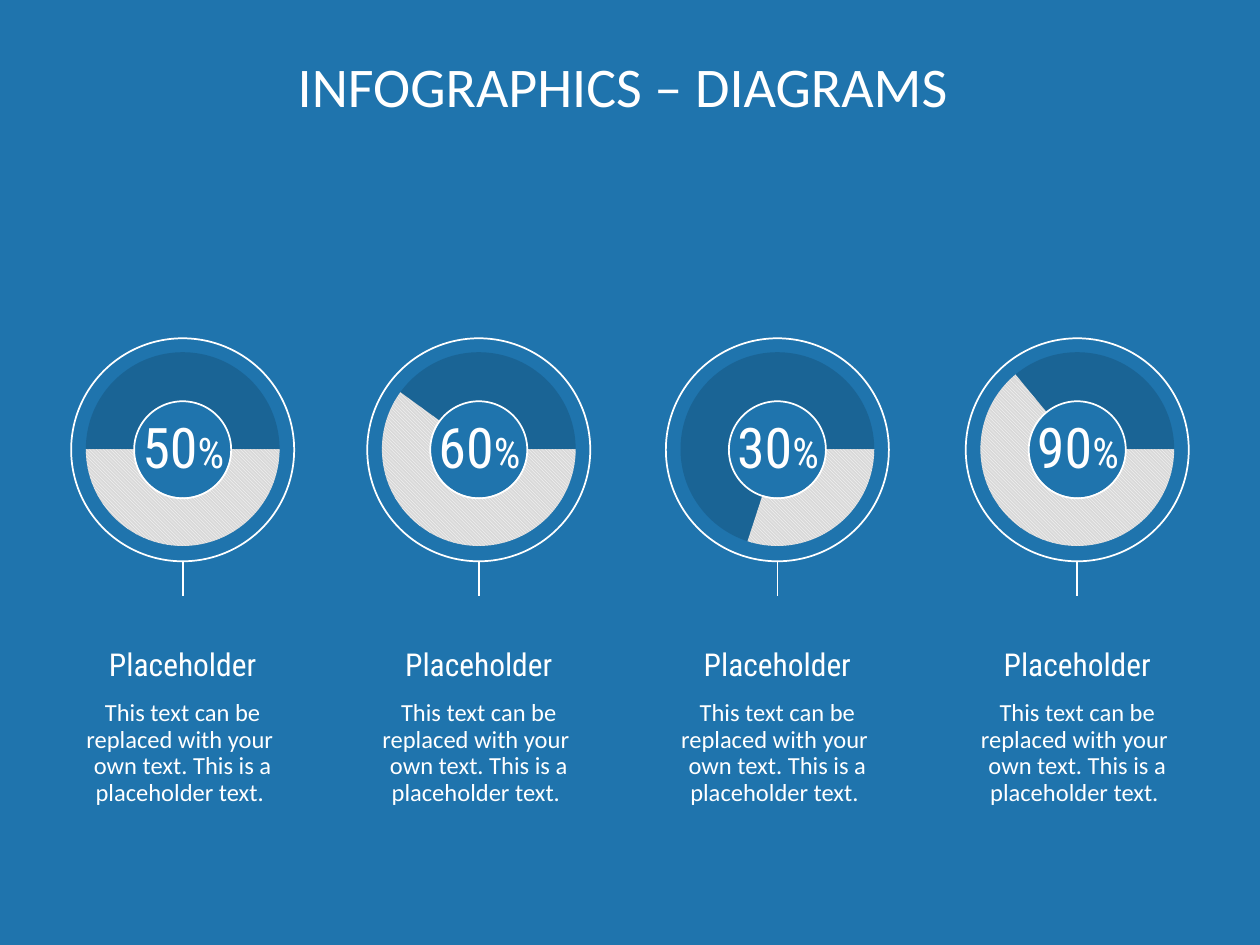
from dataclasses import dataclass

from lxml import etree
from pptx import Presentation
from pptx.chart.data import CategoryChartData
from pptx.dml.color import RGBColor as RGB
from pptx.enum.chart import XL_CHART_TYPE as ChartType
from pptx.enum.dml import MSO_PATTERN as Pattern
from pptx.enum.shapes import MSO_CONNECTOR as Connector, MSO_SHAPE as Shape
from pptx.enum.text import MSO_ANCHOR as Anchor, MSO_AUTO_SIZE as AutoSize, PP_ALIGN as Align
from pptx.oxml.ns import qn
from pptx.util import Inches, Pt


@dataclass(frozen=True)
class Theme:
    background: RGB = RGB(0x1F, 0x74, 0xAD)
    white: RGB = RGB(0xFF, 0xFF, 0xFF)
    stripe: RGB = RGB(0xD9, 0xD9, 0xD9)
    rest: RGB = RGB(0x14, 0x4D, 0x73)
    body_font: str = "Calibri"
    display_font: str = "Roboto Condensed"
    large: int = 32
    percent: int = 24
    heading: int = 18
    body: int = 14


theme = Theme()


def prepare_frame(frame, anchor):
    frame.word_wrap = True
    frame.auto_size = AutoSize.NONE
    frame.vertical_anchor = anchor
    frame.margin_left = frame.margin_right = frame.margin_top = frame.margin_bottom = 0


def add_run(paragraph, text, size, font):
    paragraph.alignment = Align.CENTER
    paragraph.line_spacing = 0.9
    run = paragraph.add_run()
    run.text = text
    run.font.size = Pt(size)
    run.font.name = font
    run.font.color.rgb = theme.white


deck = Presentation()
deck.slide_width, deck.slide_height = Inches(10), Inches(7.5)
slide = deck.slides.add_slide(deck.slide_layouts[5])
slide.background.fill.solid()
slide.background.fill.fore_color.rgb = theme.background
shapes = slide.shapes

# Title
title = shapes.title
title.left, title.top, title.width, title.height = map(Inches, (0.43, 0.47, 9.13, 1.18))
prepare_frame(title.text_frame, Anchor.TOP)
add_run(title.text_frame.paragraphs[0], "INFOGRAPHICS – DIAGRAMS ", theme.large, theme.body_font)

# Dial centre, shown percentage, filled share of the ring
dials = [(1.45, "50", 50), (3.8, "60", 60), (6.17, "30", 30), (8.55, "90", 64)]
middle = 3.57
plot_area = {"x": 0.153, "y": 0.075, "w": 0.694, "h": 0.85}

for center, percentage, share in dials:
    # Caption
    caption = shapes.add_textbox(Inches(center - 0.9), Inches(5.15), Inches(1.8), Inches(1.35)).text_frame
    prepare_frame(caption, Anchor.TOP)
    heading = caption.paragraphs[0]
    heading.space_after = Pt(10)
    add_run(heading, "Placeholder", theme.heading, theme.display_font)
    description = caption.add_paragraph()
    description.space_after = Pt(10)
    add_run(description, "This text can be replaced with your ", theme.body, theme.body_font)
    description.add_line_break()
    add_run(description, "own text. This is a placeholder text. ", theme.body, theme.body_font)

    # Ring chart
    ring_data = CategoryChartData()
    ring_data.categories = ["Filled", "Rest"]
    ring_data.add_series("Series 1", (share, 100 - share))
    ring = shapes.add_chart(ChartType.DOUGHNUT, Inches(center - 1.11), Inches(middle - 0.91),
                            Inches(2.22), Inches(1.81), ring_data).chart
    ring.has_legend = ring.has_title = False
    ring.font.size = Pt(theme.heading)
    ring.font.name = theme.body_font
    points = ring.plots[0].series[0].points
    filled, rest = points[0].format, points[1].format
    filled.fill.patterned()
    filled.fill.pattern = Pattern.LIGHT_DOWNWARD_DIAGONAL
    filled.fill.fore_color.rgb = theme.white
    filled.fill.back_color.rgb = theme.stripe
    rest.fill.solid()
    rest.fill.fore_color.rgb = theme.rest
    for part in (filled, rest):
        part.line.fill.background()

    # Transparency, rotation, hole and plot position
    chart_xml = ring.element
    for color in chart_xml.iter(qn("a:srgbClr")):
        if color.get("val") == str(theme.rest):
            etree.SubElement(color, qn("a:alpha")).set("val", "40000")
    next(chart_xml.iter(qn("c:firstSliceAng"))).set("val", "90")
    next(chart_xml.iter(qn("c:holeSize"))).set("val", "59")
    plot = next(chart_xml.iter(qn("c:plotArea")))
    for old_layout in plot.findall(qn("c:layout")):
        plot.remove(old_layout)
    layout = etree.Element(qn("c:layout"))
    plot.insert(0, layout)
    manual = etree.SubElement(layout, qn("c:manualLayout"))
    settings = {"layoutTarget": "inner", "xMode": "edge", "yMode": "edge", **plot_area}
    for tag, value in settings.items():
        etree.SubElement(manual, qn(f"c:{tag}")).set("val", str(value))

    # Percentage
    label = shapes.add_textbox(Inches(center - 0.55), Inches(middle - 0.59), Inches(1.11), Inches(1.19)).text_frame
    prepare_frame(label, Anchor.MIDDLE)
    number = label.paragraphs[0]
    number.space_after = Pt(10)
    add_run(number, percentage, theme.large, theme.display_font)
    add_run(number, "%", theme.percent, theme.display_font)

    # Outer and inner circles
    for diameter in (1.77, 0.77):
        circle = shapes.add_shape(Shape.OVAL, Inches(center - diameter / 2), Inches(middle - diameter / 2),
                                  Inches(diameter), Inches(diameter))
        circle.shadow.inherit = False
        circle.fill.background()
        circle.line.color.rgb = theme.white
        circle.line.width = Pt(1)

    # Stem
    stem = shapes.add_connector(Connector.STRAIGHT, Inches(center), Inches(4.45), Inches(center), Inches(4.73))
    stem.line.color.rgb = theme.white
    stem.line.width = Pt(1)
    etree.SubElement(stem.element.spPr, qn("a:effectLst"))

deck.save("out.pptx")
